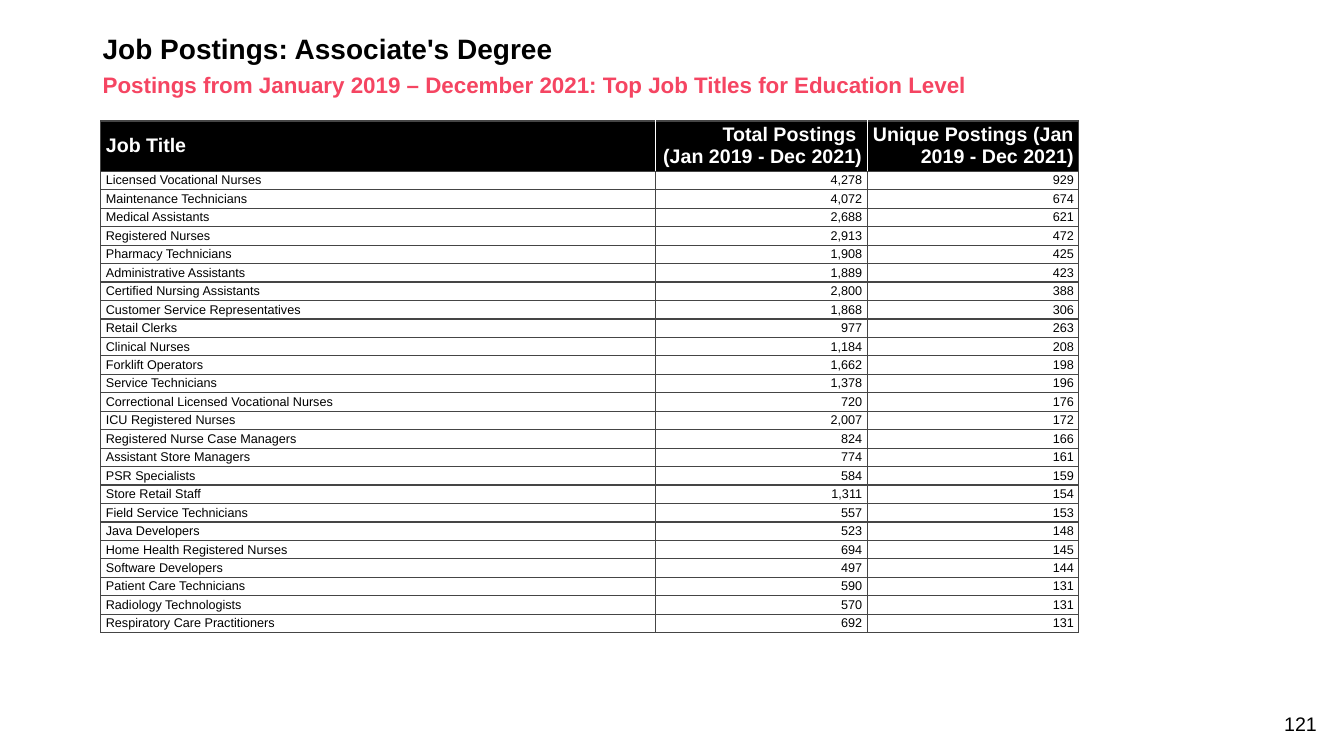
from lxml.etree import SubElement
from pptx import Presentation
from pptx.dml.color import RGBColor
from pptx.enum.text import MSO_ANCHOR, PP_ALIGN
from pptx.oxml.ns import qn
from pptx.util import Inches, Pt

BLACK = RGBColor(0x00, 0x00, 0x00)
WHITE = RGBColor(0xFF, 0xFF, 0xFF)
PINK = RGBColor(0xF5, 0x45, 0x62)
GRAY = RGBColor(0x45, 0x45, 0x45)

HEADS = ("Job Title", "Total Postings \n(Jan 2019 - Dec 2021)",
         "Unique Postings (Jan 2019 - Dec 2021)")
JOBS = [
    ("Licensed Vocational Nurses", 4278, 929),
    ("Maintenance Technicians", 4072, 674),
    ("Medical Assistants", 2688, 621),
    ("Registered Nurses", 2913, 472),
    ("Pharmacy Technicians", 1908, 425),
    ("Administrative Assistants", 1889, 423),
    ("Certified Nursing Assistants", 2800, 388),
    ("Customer Service Representatives", 1868, 306),
    ("Retail Clerks", 977, 263),
    ("Clinical Nurses", 1184, 208),
    ("Forklift Operators", 1662, 198),
    ("Service Technicians", 1378, 196),
    ("Correctional Licensed Vocational Nurses", 720, 176),
    ("ICU Registered Nurses", 2007, 172),
    ("Registered Nurse Case Managers", 824, 166),
    ("Assistant Store Managers", 774, 161),
    ("PSR Specialists", 584, 159),
    ("Store Retail Staff", 1311, 154),
    ("Field Service Technicians", 557, 153),
    ("Java Developers", 523, 148),
    ("Home Health Registered Nurses", 694, 145),
    ("Software Developers", 497, 144),
    ("Patient Care Technicians", 590, 131),
    ("Radiology Technologists", 570, 131),
    ("Respiratory Care Practitioners", 692, 131),
]


class Page:
    face = "Arial"

    def __init__(self, slide):
        self.slide = slide

    def style(self, frame, size, color, bold, align):
        for para in frame.paragraphs:
            para.alignment = align
            font = para.font
            font.name, font.size, font.bold = self.face, Pt(size), bold
            font.color.rgb = color

    def text(self, box, words, size, color=BLACK, bold=False,
             align=PP_ALIGN.LEFT, anchor=MSO_ANCHOR.MIDDLE, pitch=None):
        frame = self.slide.shapes.add_textbox(*map(Inches, box)).text_frame
        frame.word_wrap = True
        frame.vertical_anchor = anchor
        frame.text = words
        frame.paragraphs[0].line_spacing = pitch
        self.style(frame, size, color, bold, align)

    def border(self, cell, sides):
        props = cell._tc.get_or_add_tcPr()
        for side, color in sides.items():
            line = SubElement(props, qn("a:ln" + side), w=str(Pt(1)))
            fill = SubElement(line, qn("a:solidFill"))
            SubElement(fill, qn("a:srgbClr"), val=str(color))

    def cell(self, cell, words, head, first, last):
        cell.text = words
        cell.vertical_anchor = MSO_ANCHOR.MIDDLE
        cell.margin_left = cell.margin_right = Inches(0.05)
        cell.margin_top = cell.margin_bottom = Inches(0.01)
        self.style(cell.text_frame, 14 if head else 9, WHITE if head else BLACK,
                   head, PP_ALIGN.LEFT if first else PP_ALIGN.RIGHT)
        # White rules part the header cells
        self.border(cell, {"L": WHITE if head and not first else GRAY,
                           "R": WHITE if head and not last else GRAY,
                           "T": GRAY, "B": GRAY})
        cell.fill.solid()
        cell.fill.fore_color.rgb = BLACK if head else WHITE

    def table(self, box, widths, top, heads, data):
        rows = [heads] + [(job, f"{total:,}", f"{unique:,}")
                          for job, total, unique in data]
        table = self.slide.shapes.add_table(
            len(rows), len(heads), *map(Inches, box)).table
        for col, width in zip(table.columns, widths):
            col.width = Inches(width)
        step = (box[3] - top) / len(data)
        for i, row in enumerate(rows):
            table.rows[i].height = Inches(step if i else top)
            for j, words in enumerate(row):
                self.cell(table.cell(i, j), words, i == 0, j == 0,
                          j == len(row) - 1)


def main():
    deck = Presentation()
    deck.slide_width, deck.slide_height = Inches(13.33), Inches(7.5)
    page = Page(deck.slides.add_slide(deck.slide_layouts[6]))

    # Headings
    page.text((0.92, 0.3, 11.5, 0.4), "Job Postings: Associate's Degree",
              20, bold=True, pitch=0.9)
    page.text((0.92, 0.71, 11.5, 0.3),
              "Postings from January 2019 – December 2021: "
              "Top Job Titles for Education Level",
              16, PINK, bold=True, pitch=0.9)

    # Job table
    page.table((1, 1.2, 9.7, 5.08), (5.5, 2.1, 2.1), 0.5, HEADS, JOBS)

    # Page number
    page.text((12.36, 7.01, 0.8, 0.34), "121", 14,
              align=PP_ALIGN.RIGHT, anchor=MSO_ANCHOR.BOTTOM)

    deck.save("out.pptx")


if __name__ == "__main__":
    main()
